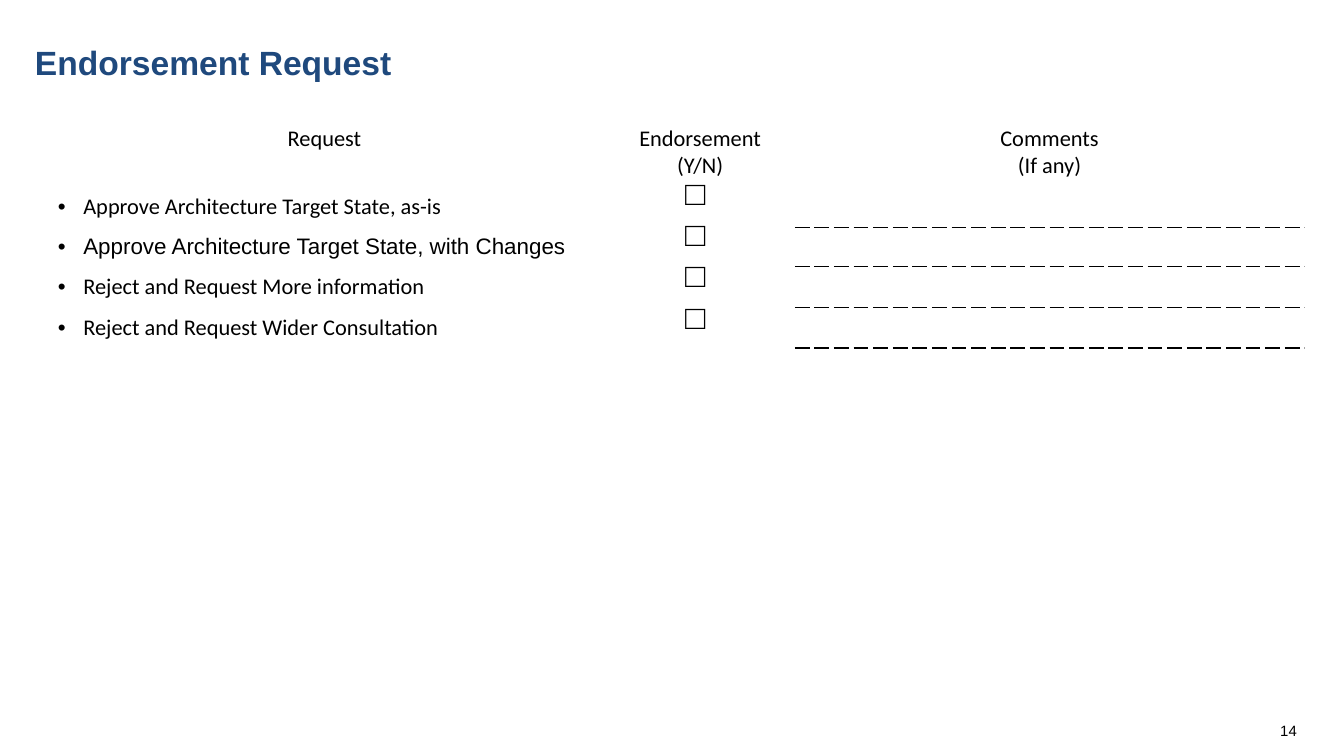
from dataclasses import dataclass

from lxml import etree
from pptx import Presentation
from pptx.dml.color import RGBColor
from pptx.enum.text import MSO_ANCHOR, MSO_AUTO_SIZE, PP_ALIGN
from pptx.oxml.ns import qn
from pptx.util import Inches, Pt

LEFT, CENTER, RIGHT = PP_ALIGN.LEFT, PP_ALIGN.CENTER, PP_ALIGN.RIGHT
MIDDLE, TOP = MSO_ANCHOR.MIDDLE, MSO_ANCHOR.TOP
NO_AUTOFIT = MSO_AUTO_SIZE.NONE
TITLE_ONLY = 5


@dataclass(frozen=True)
class Theme:
    heading: str = "1F497D"
    ink: str = "000000"
    sans: str = "Arial"
    body: str = "Calibri"
    title_size: int = 18
    table_size: int = 12
    empty_size: int = 10
    number_size: int = 8
    rule_width: int = 1


THEME = Theme()

TITLE = "Endorsement Request"
PAGE_NUMBER = "14"
CHECKBOX = "□"
HEADINGS = [["Request"], ["Endorsement", "(Y/N)"], ["Comments", "(If any)"]]
REQUESTS = [
    ("Approve Architecture Target State, as-is", THEME.body),
    ("Approve Architecture Target State, with Changes", THEME.sans),
    ("Reject and Request More information", THEME.body),
    ("Reject and Request Wider Consultation", THEME.body),
]

SLIDE_WIDTH = 10
SLIDE_HEIGHT = SLIDE_WIDTH * 9 / 16
TABLE_LEFT, TABLE_TOP = 0.33, 0.88
COLUMNS = [4.17, 1.42, 3.78]
ROWS = [0.51, 0.3, 0.29, 0.3, 0.3]
COMMENTS = len(COLUMNS) - 1
CHECKBOX_LEFT, CHECKBOX_TOP = 5, 1.23
CHECKBOX_STEP = 0.92 / (len(REQUESTS) - 1)
BULLET_INDENT = 0.19


def add_run(paragraph, text, size, font, color=THEME.ink, bold=False):
    run = paragraph.add_run()
    run.text = text
    run.font.size = Pt(size)
    run.font.name = font
    run.font.bold = bold
    run.font.color.rgb = RGBColor.from_string(color)


def set_frame(frame, anchor, inset=(0.09, 0.04), wrap=True):
    frame.word_wrap = wrap
    frame.auto_size = NO_AUTOFIT
    frame.vertical_anchor = anchor
    frame.margin_left = frame.margin_right = Inches(inset[0])
    frame.margin_top = frame.margin_bottom = Inches(inset[1])


def add_bullet(paragraph):
    properties = paragraph._p.get_or_add_pPr()
    properties.set("marL", str(Inches(BULLET_INDENT)))
    properties.set("indent", str(-Inches(BULLET_INDENT)))
    etree.SubElement(properties, qn("a:buFont"), typeface=THEME.sans)
    etree.SubElement(properties, qn("a:buChar"), char="•")


def add_dashed_edge(cell, edge):
    line = etree.SubElement(cell._tc.get_or_add_tcPr(), qn(edge), w=str(Pt(THEME.rule_width)))
    fill = etree.SubElement(line, qn("a:solidFill"))
    etree.SubElement(fill, qn("a:srgbClr"), val=THEME.ink)
    etree.SubElement(line, qn("a:prstDash"), val="dash")


def add_title(slide):
    title = slide.shapes.title
    title.left, title.top, title.width, title.height = map(Inches, (0.17, 0.27, 9.67, 0.38))
    set_frame(title.text_frame, MIDDLE)
    paragraph = title.text_frame.paragraphs[0]
    paragraph.alignment = LEFT
    add_run(paragraph, TITLE, THEME.title_size, THEME.sans, THEME.heading, True)


def add_request_table(slide):
    table = slide.shapes.add_table(
        len(ROWS), len(COLUMNS), Inches(TABLE_LEFT), Inches(TABLE_TOP),
        Inches(sum(COLUMNS)), Inches(sum(ROWS)),
    ).table
    table.first_row = table.horz_banding = False
    for column, width in zip(table.columns, COLUMNS):
        column.width = Inches(width)
    for row, height in zip(table.rows, ROWS):
        row.height = Inches(height)

    for column, lines in enumerate(HEADINGS):
        frame = table.cell(0, column).text_frame
        for index, line in enumerate(lines):
            paragraph = frame.add_paragraph() if index else frame.paragraphs[0]
            paragraph.alignment = CENTER
            add_run(paragraph, line, THEME.table_size, THEME.body)

    for row, (request, font) in enumerate(REQUESTS, start=1):
        paragraph = table.cell(row, 0).text_frame.paragraphs[0]
        add_bullet(paragraph)
        add_run(paragraph, request, THEME.table_size, font)
        for column in range(1, len(COLUMNS)):
            blank = table.cell(row, column).text_frame.paragraphs[0]
            etree.SubElement(blank._p, qn("a:endParaRPr"), sz=str(THEME.empty_size * 100))
        comment = table.cell(row, COMMENTS)
        if row > 1:
            add_dashed_edge(comment, "a:lnT")
        add_dashed_edge(comment, "a:lnB")

    for cell in table.iter_cells():
        cell.fill.background()


def add_checkboxes(slide):
    for index in range(len(REQUESTS)):
        top = CHECKBOX_TOP + index * CHECKBOX_STEP
        checkbox = slide.shapes.add_textbox(*map(Inches, (CHECKBOX_LEFT, top, 0.43, 0.5)))
        set_frame(checkbox.text_frame, TOP, inset=(0.1, 0.05), wrap=False)
        add_run(checkbox.text_frame.paragraphs[0], CHECKBOX, THEME.title_size, THEME.sans)


def add_page_number(slide):
    number = slide.shapes.add_textbox(*map(Inches, (9.37, 5.33, 0.37, 0.18)))
    set_frame(number.text_frame, TOP)
    paragraph = number.text_frame.paragraphs[0]
    paragraph.alignment = RIGHT
    add_run(paragraph, PAGE_NUMBER, THEME.number_size, THEME.sans)


def main():
    deck = Presentation()
    deck.slide_width, deck.slide_height = Inches(SLIDE_WIDTH), Inches(SLIDE_HEIGHT)
    slide = deck.slides.add_slide(deck.slide_layouts[TITLE_ONLY])
    add_title(slide)
    add_request_table(slide)
    add_checkboxes(slide)
    add_page_number(slide)
    deck.save("out.pptx")


if __name__ == "__main__":
    main()
